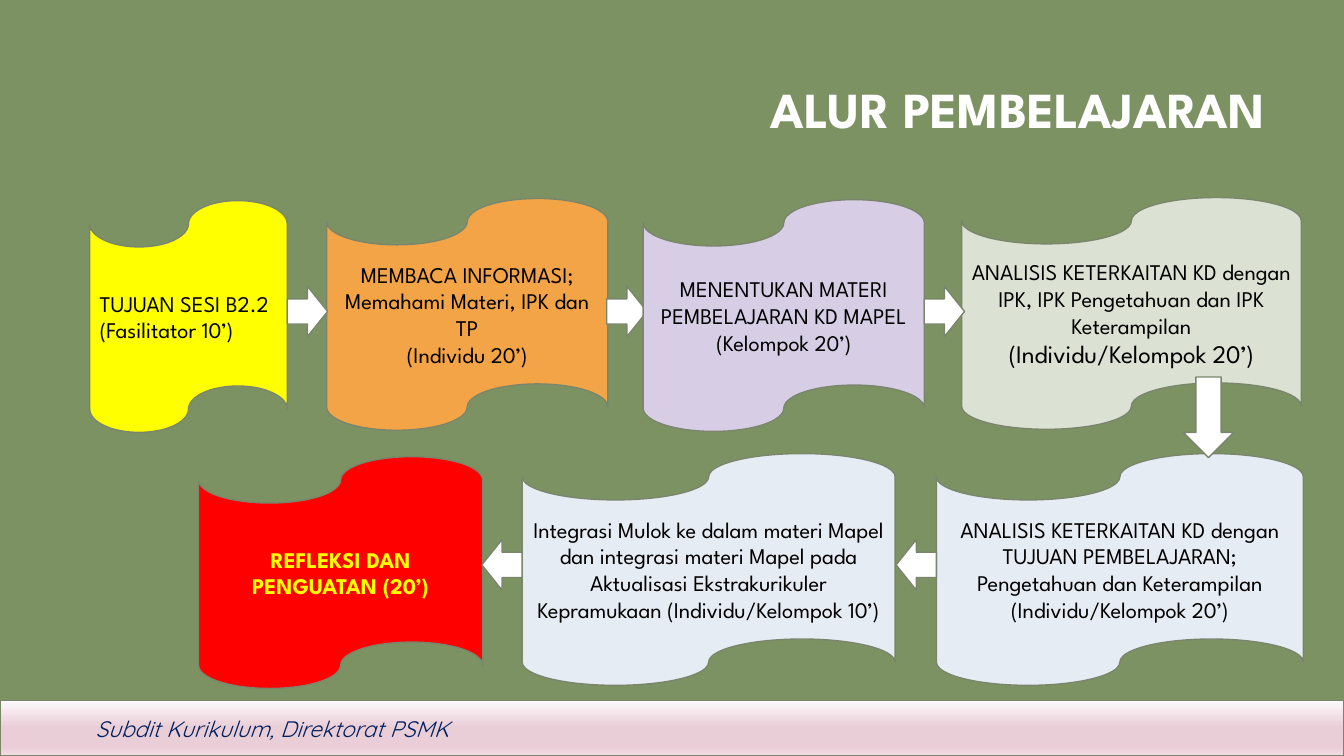
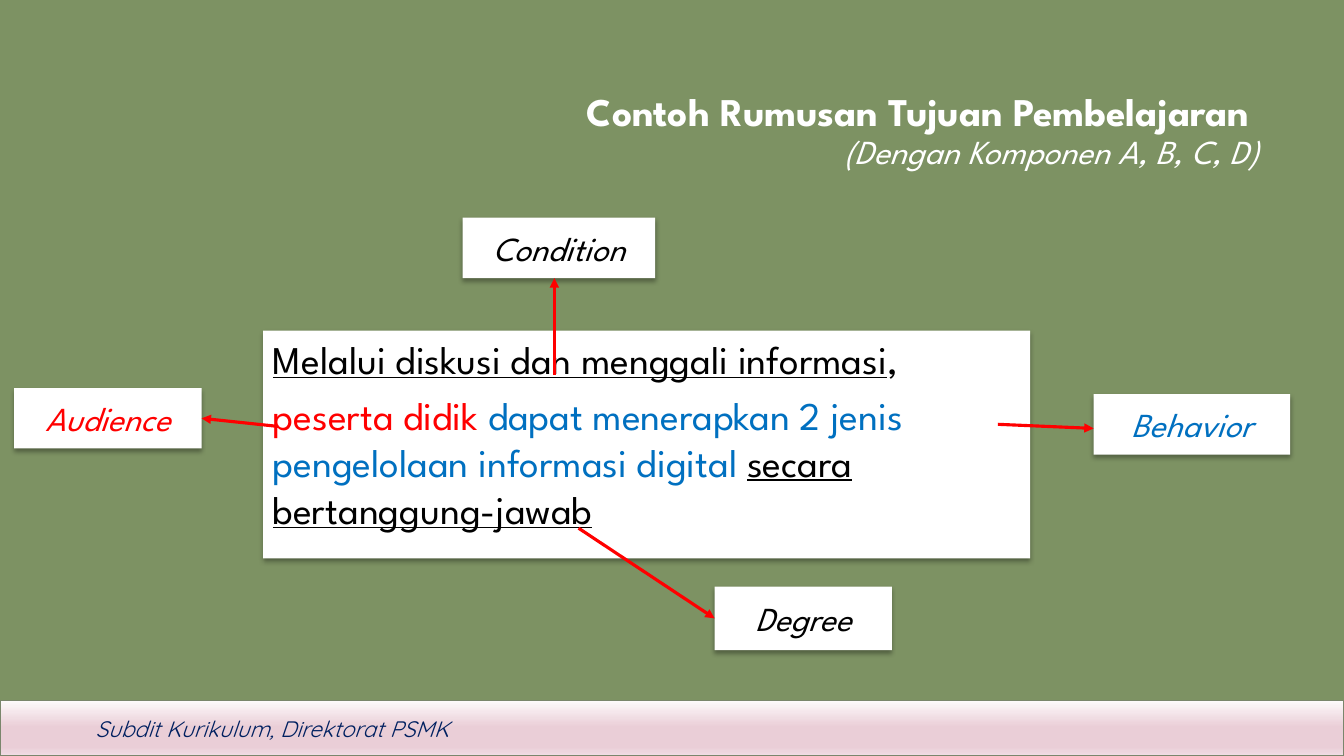
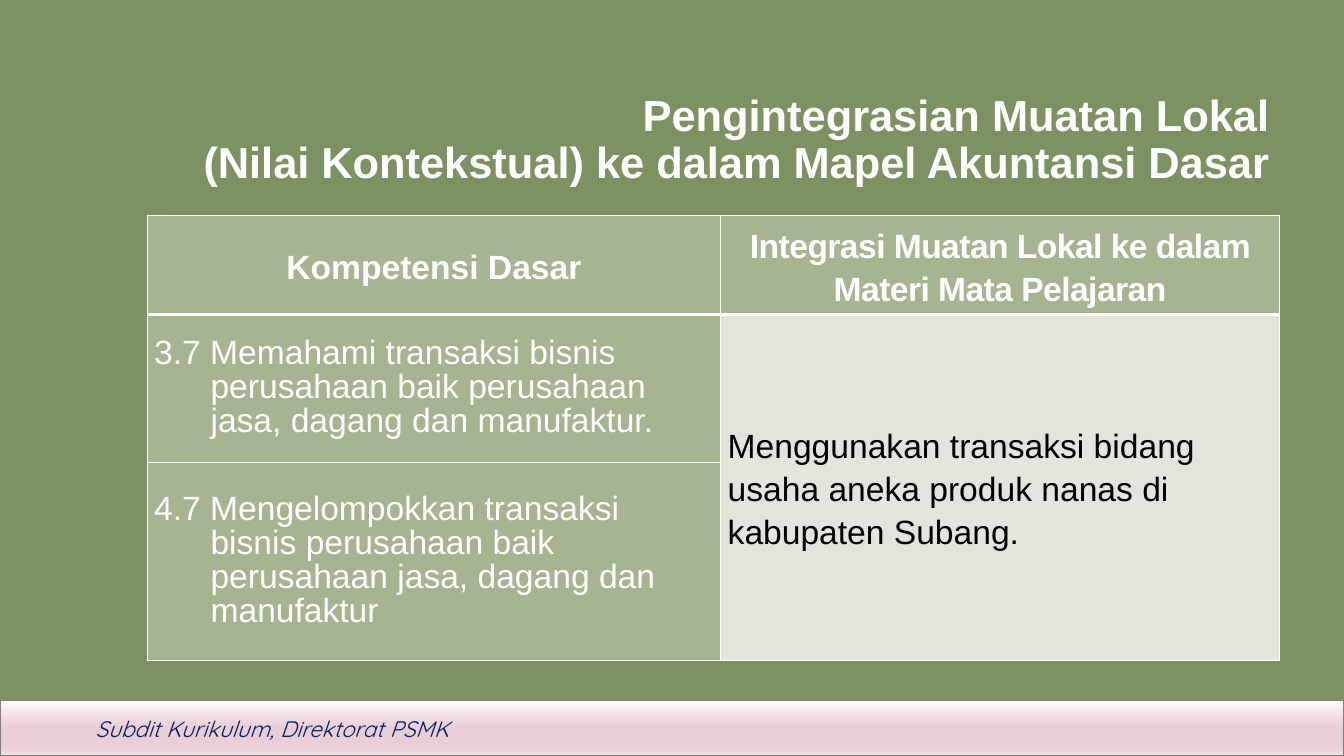
"""Build three slides on learning flow, objectives and local content."""
import lxml.etree
import pptx
import pptx.dml.color
import pptx.enum.shapes
import pptx.enum.text
import pptx.oxml.ns
import pptx.util

Pt = pptx.util.Pt
RGBColor = pptx.dml.color.RGBColor
SHAPE = pptx.enum.shapes.MSO_SHAPE
ALIGN = pptx.enum.text.PP_ALIGN
ANCHOR = pptx.enum.text.MSO_ANCHOR
qn = pptx.oxml.ns.qn

MOSS = RGBColor(0x7D, 0x92, 0x63)
OUTLINE = RGBColor(0x7A, 0x86, 0x6C)
SAGE = RGBColor(0xA5, 0xB5, 0x92)
PALE_SAGE = RGBColor(0xE1, 0xE5, 0xDC)
MIST = RGBColor(0xDB, 0xE1, 0xD3)
ICE = RGBColor(0xE6, 0xEC, 0xF3)
LILAC = RGBColor(0xD7, 0xCE, 0xE6)
ORANGE = RGBColor(0xF3, 0xA4, 0x47)
YELLOW = RGBColor(0xFF, 0xFF, 0x00)
RED = RGBColor(0xFF, 0x00, 0x00)
BLUE = RGBColor(0x00, 0x70, 0xC0)
NAVY = RGBColor(0x00, 0x20, 0x60)
BLACK = RGBColor(0x00, 0x00, 0x00)
WHITE = RGBColor(0xFF, 0xFF, 0xFF)
PINK = RGBColor(0xEA, 0xCE, 0xD7)
BAND_STOPS = (
    (0, RGBColor(0xFD, 0xFA, 0xFB)),
    (48, PINK),
    (84, PINK),
    (100, RGBColor(0xF1, 0xDE, 0xE5)),
)

SPARTAN = "League Spartan"
ARROW_SIZE = (28.8, 36)
TAPE_HEIGHT = 165.6


def add_xml(parent, tag, **attributes):
    """Append a child element and return it."""
    values = {name: str(value) for name, value in attributes.items()}
    return lxml.etree.SubElement(parent, qn(tag), values)


class Deck:
    """Shared style, the presentation and the slide being built."""

    def __init__(self):
        """Start a widescreen presentation with a moss background."""
        self.presentation = pptx.Presentation()
        self.presentation.slide_width = Pt(960)
        self.presentation.slide_height = Pt(540)
        fill = self.presentation.slide_master.background.fill
        fill.solid()
        fill.fore_color.rgb = MOSS
        self.slide = None

    def set_text(self, frame, paragraphs, align=ALIGN.LEFT, anchor=ANCHOR.MIDDLE,
                 spacing=None, before=0, after=0, **style):
        """Set paragraphs, each a list of (text, style changes) runs."""
        frame.word_wrap = True
        frame.auto_size = pptx.enum.text.MSO_AUTO_SIZE.NONE
        frame.vertical_anchor = anchor
        for index, runs in enumerate(paragraphs):
            paragraph = frame.add_paragraph() if index else frame.paragraphs[0]
            paragraph.alignment = align
            paragraph.space_before = Pt(before)
            paragraph.space_after = Pt(after)
            if spacing:
                paragraph.line_spacing = spacing
            for text, changes in runs:
                self.add_run(paragraph, text, **{**style, **changes})

    def add_run(self, paragraph, text, size=16, color=BLACK, font=SPARTAN,
                bold=False, italic=False, underline=False, tracking=0):
        """Add one run, or a line break of the same size."""
        if text == "\n":
            paragraph.add_line_break()
            add_xml(paragraph._p[-1], "a:rPr", sz=size * 100)
            return
        run = paragraph.add_run()
        run.text = text
        run.font.name = font
        run.font.size = Pt(size)
        run.font.color.rgb = color
        run.font.bold = bold
        run.font.italic = italic
        run.font.underline = underline
        if tracking:
            run._r.get_or_add_rPr().set("spc", str(round(tracking * 100)))

    def new_slide(self, title_box, title_runs, **style):
        """Add a slide with its title, footer band and footer text."""
        layout = self.presentation.slide_layouts[5]
        self.slide = self.presentation.slides.add_slide(layout)
        self.band()
        footer = self.slide.shapes.add_textbox(*map(Pt, (61.2, 507.6, 275.8, 26.6)))
        self.set_text(footer.text_frame, [[("Subdit Kurikulum, Direktorat PSMK", {})]],
                      anchor=ANCHOR.TOP, font="Quicksand", color=NAVY, italic=True)
        footer.text_frame.word_wrap = False
        title = self.slide.shapes.title
        title.left, title.top, title.width, title.height = map(Pt, title_box)
        self.set_text(title.text_frame, [title_runs], align=ALIGN.RIGHT,
                      spacing=0.9, color=WHITE, **style)

    def shape(self, kind, box, fill, outlined=True):
        """Add a filled preset shape without a shadow."""
        shape = self.slide.shapes.add_shape(kind, *map(Pt, box))
        shape.shadow.inherit = False
        shape.fill.solid()
        shape.fill.fore_color.rgb = fill
        if outlined:
            shape.line.color.rgb = OUTLINE
            shape.line.width = Pt(1)
        else:
            shape.line.fill.background()
        return shape

    def band(self):
        """Add the gradient footer band."""
        band = self.shape(SHAPE.RECTANGLE, (0, 500.4, 960, 39.6), WHITE)
        band.fill.gradient()
        band.fill.gradient_angle = 270
        stops = band.element.spPr.find(qn("a:gradFill")).find(qn("a:gsLst"))
        for stop in list(stops):
            stops.remove(stop)
        for position, color in BAND_STOPS:
            stop = add_xml(stops, "a:gs", pos=position * 1000)
            add_xml(stop, "a:srgbClr", val=color)

    def tape(self, left, top, width, fill, lines, align=ALIGN.CENTER, **style):
        """Add a punched-tape step."""
        tape = self.shape(SHAPE.FLOWCHART_PUNCHED_TAPE,
                          (left, top, width, TAPE_HEIGHT), fill)
        self.set_text(tape.text_frame, lines, align=align, **style)

    def arrow(self, kind, left, top, size=ARROW_SIZE):
        """Add a white block arrow."""
        self.shape(kind, (left, top, *size), WHITE)

    def card(self, box, paragraphs, **style):
        """Add a white card with a soft shadow."""
        card = self.shape(SHAPE.RECTANGLE, box, WHITE, outlined=False)
        effects = card.element.spPr.find(qn("a:effectLst"))
        shadow = add_xml(effects, "a:outerShdw", blurRad=Pt(3.5), dist=Pt(2.2),
                         dir=5400000, algn="t", rotWithShape=0)
        add_xml(add_xml(shadow, "a:srgbClr", val=BLACK), "a:alpha", val=32000)
        self.set_text(card.text_frame, paragraphs, **style)
        return card

    def label(self, box, text, color):
        """Add a card naming one component."""
        return self.card(box, [[(text, {})]], align=ALIGN.CENTER, after=8,
                         size=24, color=color, italic=True)

    def pointer(self, start, end, target=None, side=1):
        """Add a red arrow, joined to the target's side when one is given."""
        straight = pptx.enum.shapes.MSO_CONNECTOR.STRAIGHT
        pointer = self.slide.shapes.add_connector(straight, *map(Pt, start + end))
        if target:
            pointer.end_connect(target, side)
        pointer.line.color.rgb = RED
        pointer.line.width = Pt(2.25)
        properties = pointer.element.spPr
        add_xml(properties.find(qn("a:ln")), "a:tailEnd", type="triangle")
        add_xml(properties, "a:effectLst")

    def table(self, left, top, widths, heights):
        """Add an empty table with the given column widths and row heights."""
        frame = self.slide.shapes.add_table(
            len(heights), len(widths),
            *map(Pt, (left, top, sum(widths), sum(heights))))
        table = frame.table
        table.horz_banding = False
        for column, width in zip(table.columns, widths):
            column.width = Pt(width)
        for row, height in zip(table.rows, heights):
            row.height = Pt(height)
        for row_index in range(len(heights)):
            for column_index in range(len(widths)):
                self.borders(table.cell(row_index, column_index), row_index)
        return table

    def borders(self, cell, row_index):
        """Draw white cell borders, thick below the header row."""
        properties = cell._tc.get_or_add_tcPr()
        for side in "LRTB":
            thick = (row_index, side) in ((0, "B"), (1, "T"))
            line = add_xml(properties, f"a:ln{side}", w=Pt(3 if thick else 1))
            add_xml(add_xml(line, "a:solidFill"), "a:srgbClr", val=WHITE)

    def cell(self, cell, fill, text, hanging=0, **style):
        """Fill a cell and set its text."""
        cell.margin_left = cell.margin_right = Pt(5)
        cell.margin_top = cell.margin_bottom = 0
        cell.vertical_anchor = ANCHOR.MIDDLE
        cell.fill.solid()
        cell.fill.fore_color.rgb = fill
        self.set_text(cell.text_frame, [[(text, {})]], size=24, font="Arial",
                      before=3, after=3, **style)
        if hanging:
            properties = cell.text_frame.paragraphs[0]._p.get_or_add_pPr()
            properties.set("marL", str(Pt(hanging)))
            properties.set("indent", str(-Pt(hanging)))


def flow_slide(deck):
    """Build the learning flow."""
    deck.new_slide((354.2, 54.7, 556.6, 51.1), [("ALUR PEMBELAJARAN", {})],
                   size=36, bold=True)
    deck.tape(64.1, 143.3, 141.1, YELLOW,
              [[("TUJUAN SESI B2.2", {})], [("(Fasilitator 10’)", {})]],
              align=ALIGN.LEFT)
    deck.tape(233.3, 141.8, 200.9, ORANGE,
              [[("MEMBACA INFORMASI; Memahami Materi, IPK dan TP", {})],
               [("(Individu 20’)", {})]])
    deck.arrow(SHAPE.RIGHT_ARROW, 433.4, 204.5)
    deck.tape(459.4, 142.6, 200.9, LILAC,
              [[("MENENTUKAN MATERI PEMBELAJARAN KD MAPEL", {})],
               [("(Kelompok 20’)", {})]])
    deck.tape(686.9, 141.1, 242.6, MIST,
              [[("ANALISIS KETERKAITAN KD dengan IPK, IPK Pengetahuan "
                 "dan IPK Keterampilan", {})],
               [("(Individu/Kelompok 20’)", {"size": 18})]])
    deck.tape(668.9, 324, 262.1, ICE,
              [[("ANALISIS KETERKAITAN KD dengan TUJUAN PEMBELAJARAN; "
                 "Pengetahuan dan Keterampilan", {})],
               [("(Individu/Kelompok 20’)", {})]])
    deck.tape(373, 324, 266.4, ICE,
              [[("Integrasi Mulok ke dalam materi Mapel dan integrasi materi "
                 "Mapel pada Aktualisasi Ekstrakurikuler Kepramukaan "
                 "(Individu/Kelompok 10’)", {})]])
    deck.tape(141.8, 326.2, 203, RED, [[("REFLEKSI DAN PENGUATAN (20’)", {})]],
              color=YELLOW, bold=True)
    for left in (205.2, 660.2):
        deck.arrow(SHAPE.RIGHT_ARROW, left, 204.5)
    deck.arrow(SHAPE.DOWN_ARROW, 845.3, 269.3, (36, 57.6))
    for left in (640.1, 344.2):
        deck.arrow(SHAPE.LEFT_ARROW, left, 385.5)


def objective_slide(deck):
    """Build the annotated learning objective."""
    deck.new_slide((228.2, 56.2, 678.2, 76.3),
                   [("Contoh Rumusan Tujuan Pembelajaran ", {"bold": True}),
                    ("\n", {}),
                    ("(Dengan Komponen A, B, C, D)", {"size": 24, "italic": True})],
                   size=28)
    underlined = {"underline": True}
    deck.card((187.9, 236.2, 547.9, 162.7),
              [[("Melalui diskusi dan menggali informasi", underlined), (",", {})],
               [("peserta didik ", {"color": RED}),
                ("dapat menerapkan 2 jenis pengelolaan informasi digital ",
                 {"color": BLUE}),
                ("secara bertanggung-jawab", underlined)]],
              anchor=ANCHOR.TOP, before=3, after=3, size=28)
    deck.label((330.5, 155.5, 137.5, 43.2), "Condition", BLACK)
    deck.label((781.2, 281.5, 140.4, 43.2), "Behavior", BLUE)
    audience = deck.label((10.1, 277.2, 133.9, 43.2), "Audience", RED)
    degree = deck.label((510.5, 419, 126.7, 45.4), "Degree", BLACK)
    deck.pointer((396, 267.8), (396, 198.7))
    deck.pointer((198.7, 304.6), (144, 298.8), audience, 3)
    deck.pointer((712.8, 303.1), (781.2, 306))
    deck.pointer((413.3, 377.3), (510.5, 441.7), degree, 1)


def local_content_slide(deck):
    """Build the table of local content."""
    deck.new_slide((98.6, 47.5, 815, 106.6),
                   [("Pengintegrasian Muatan Lokal", {}), ("\n", {}),
                    ("(Nilai Kontekstual) ke dalam Mapel Akuntansi Dasar", {})],
                   size=31, font="Arial", bold=True)
    table = deck.table(105.1, 154.1, (409.7, 398.9), (70.6, 105.8, 141.1))
    table.cell(1, 1).merge(table.cell(2, 1))
    header = {"align": ALIGN.CENTER, "spacing": 1.15, "color": WHITE, "bold": True}
    competency = {"hanging": 40.3, "spacing": 0.9, "color": WHITE}
    deck.cell(table.cell(0, 0), SAGE, "Kompetensi Dasar", **header)
    deck.cell(table.cell(0, 1), SAGE,
              "Integrasi Muatan Lokal ke dalam Materi Mata Pelajaran",
              tracking=-0.4, **header)
    deck.cell(table.cell(1, 0), SAGE,
              "3.7 Memahami transaksi bisnis perusahaan baik perusahaan jasa, "
              "dagang dan manufaktur.", **competency)
    deck.cell(table.cell(2, 0), SAGE,
              "4.7 Mengelompokkan transaksi bisnis perusahaan baik perusahaan "
              "jasa, dagang dan manufaktur", **competency)
    deck.cell(table.cell(1, 1), PALE_SAGE,
              "Menggunakan transaksi bidang usaha aneka produk nanas di "
              "kabupaten Subang.", spacing=1.15)


def main():
    """Build and save the presentation."""
    deck = Deck()
    flow_slide(deck)
    objective_slide(deck)
    local_content_slide(deck)
    deck.presentation.save("out.pptx")


if __name__ == "__main__":
    main()
